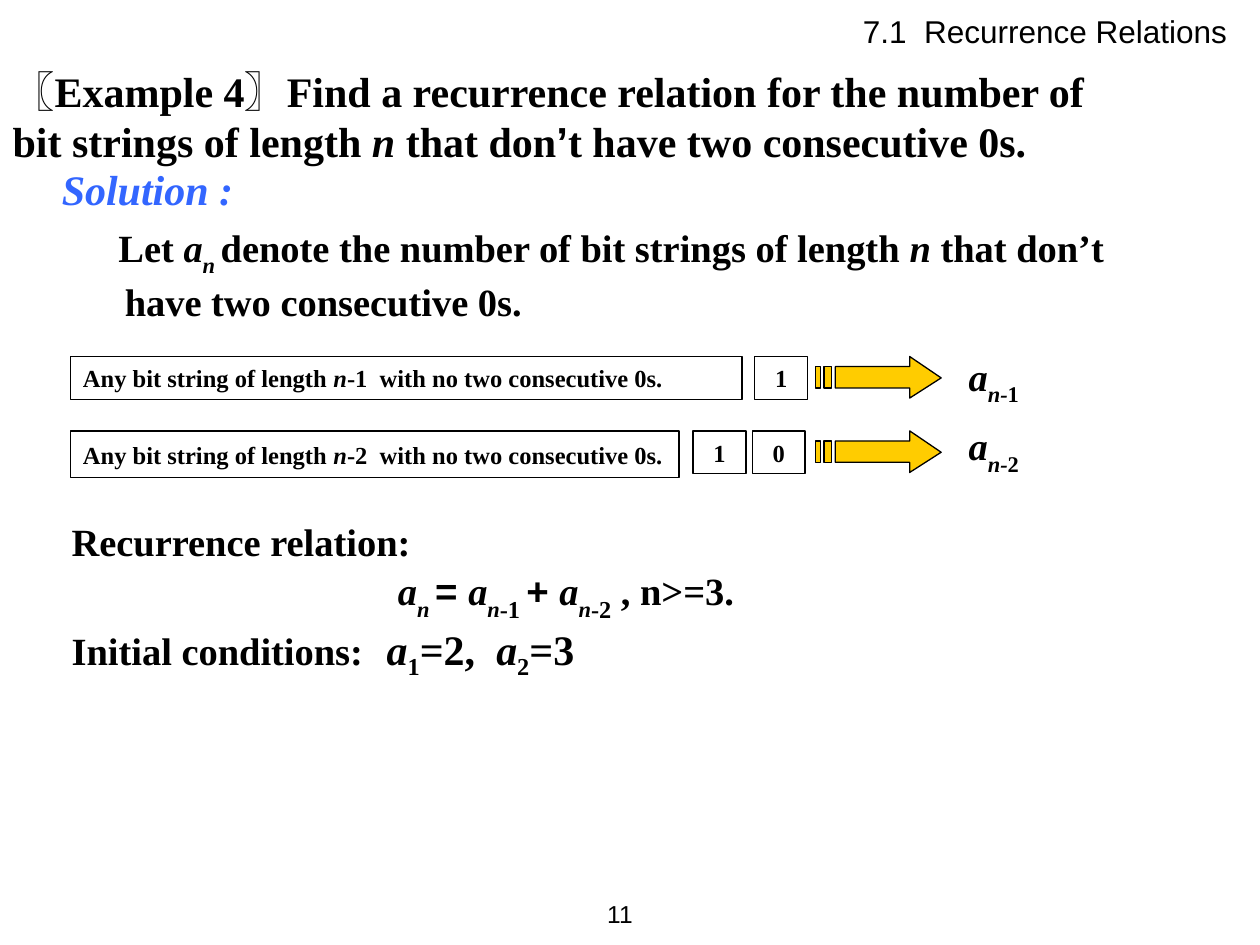
"""Build the bit-string recurrence relation slide."""
from dataclasses import dataclass, replace
from lxml import etree
from pptx import Presentation
from pptx.dml.color import RGBColor
from pptx.enum.shapes import MSO_SHAPE
from pptx.enum.text import MSO_ANCHOR, MSO_AUTO_SIZE, PP_ALIGN
from pptx.oxml.ns import qn
from pptx.util import Inches, Pt

RECTANGLE = MSO_SHAPE.RECTANGLE
LEFT, CENTER, RIGHT = PP_ALIGN.LEFT, PP_ALIGN.CENTER, PP_ALIGN.RIGHT
TOP, MIDDLE = MSO_ANCHOR.TOP, MSO_ANCHOR.MIDDLE
NO_FIT = MSO_AUTO_SIZE.NONE
COLORS = {"ink": "000000", "solution": "3366FF", "arrow": "FFCC00"}
SERIF, SANS = "Times New Roman", "Arial"


@dataclass(frozen=True)
class Span:
    text: str
    size: float = 22
    italic: bool = False
    base: int = 0
    font: str = SERIF
    bold: bool = True
    color: str = "ink"


@dataclass(frozen=True)
class Para:
    spans: list[Span]
    before: float = 0
    margin: float = 0
    indent: float = 0
    align: PP_ALIGN = LEFT
    tab: float = 0


@dataclass(frozen=True)
class Case:
    top: float
    width: float
    drop: str
    bits: list[tuple[str, float]]
    term_top: float


def variable(name: str, size: float = 22) -> Span:
    return Span(name, size, italic=True)


def subscript(text: str, size: float = 22, italic: bool = True, base: int = -30) -> Span:
    return Span(text, size, italic, base)


def place(box, left: float, top: float, width: float, height: float) -> None:
    box.left, box.top = Inches(left), Inches(top)
    box.width, box.height = Inches(width), Inches(height)


def write(box, paras: list[Para], anchor: MSO_ANCHOR = TOP, wrap: bool = True) -> None:
    frame = box.text_frame
    frame.auto_size = NO_FIT
    frame.word_wrap = wrap
    frame.vertical_anchor = anchor
    for index, item in enumerate(paras):
        para = frame.add_paragraph() if index else frame.paragraphs[0]
        para.alignment = item.align
        para.space_before = Pt(item.before)
        properties = para._p.get_or_add_pPr()
        properties.set("marL", str(Inches(item.margin)))
        properties.set("indent", str(Inches(item.indent)))
        etree.SubElement(properties, qn("a:buNone"))
        if item.tab:
            stops = etree.SubElement(properties, qn("a:tabLst"))
            etree.SubElement(stops, qn("a:tab"), pos=str(Inches(item.tab)), algn="l")
        for part in item.spans:
            span = para.add_run()
            span.text = part.text
            span.font.name = part.font
            span.font.size = Pt(part.size)
            span.font.bold = part.bold
            span.font.italic = part.italic
            span.font.color.rgb = RGBColor.from_string(COLORS[part.color])
            if part.base:
                span._r.get_or_add_rPr().set("baseline", str(part.base * 1000))


def add_text(page, area: tuple[float, float, float, float], paras: list[Para],
             anchor: MSO_ANCHOR = TOP, wrap: bool = True) -> None:
    box = page.shapes.add_textbox(*map(Inches, area))
    write(box, paras, anchor, wrap)


def outline(shape) -> None:
    shape.shadow.inherit = False
    shape.line.color.rgb = RGBColor.from_string(COLORS["ink"])
    shape.line.width = Pt(0.75)


def add_cell(group, left: float, top: float, width: float, height: float,
             spans: list[Span], align: PP_ALIGN) -> None:
    cell = group.shapes.add_shape(RECTANGLE, *map(Inches, (left, top, width, height)))
    outline(cell)
    cell.fill.background()
    write(cell, [Para(spans, align=align)], MIDDLE)


def add_striped_arrow(page, left: float, top: float) -> None:
    head = [(0.75, 0), (0.75, 0.08), (0.16, 0.08), (0.16, 0.25),
            (0.75, 0.25), (0.75, 0.33), (1, 0.17)]
    stripes = [[(a, 0.08), (a, 0.25), (b, 0.25), (b, 0.08)]
               for a, b in ((0.07, 0.13), (0, 0.04))]
    builder = None
    for contour in [head, *stripes]:
        points = [(Inches(left + x), Inches(top + y)) for x, y in contour]
        if builder is None:
            builder = page.shapes.build_freeform(*points[0])
        else:
            builder.move_to(*points[0])
        builder.add_line_segments(points[1:], close=True)
    arrow = builder.convert_to_shape()
    outline(arrow)
    arrow.fill.solid()
    arrow.fill.fore_color.rgb = RGBColor.from_string(COLORS["arrow"])


def add_case(page, case: Case) -> None:
    group = page.shapes.add_group_shape()
    label = [Span("Any bit string of length "), variable("n"),
             Span(f"-{case.drop}  with no two consecutive 0s.")]
    add_cell(group, 0.56, case.top, case.width, 0.34 if case.drop == "1" else 0.37,
             [replace(part, size=14) for part in label], LEFT)
    for bit, left in case.bits:
        add_cell(group, left, case.top, 0.42, 0.34, [Span(bit, 14)], CENTER)
    add_striped_arrow(page, 6.47, case.top)
    term = [variable("a"), subscript("n-"), subscript(case.drop, italic=False)]
    add_text(page, (7.06, case.term_top, 1.25, 0.53), [Para(term, margin=0.53)])


def main() -> None:
    deck = Presentation()
    deck.slide_width, deck.slide_height = Inches(10), Inches(7.5)
    page = deck.slides.add_slide(deck.slide_layouts[1])

    title, body = page.placeholders
    place(title, 0, 0.47, 9, 0.9)
    write(title, [Para([
        Span("〖", 24, font=SANS), Span("Example 4", 24), Span("〗", 24, font=SANS),
        Span("Find a recurrence relation for the number of bit strings of length ", 24),
        variable("n", 24), Span(" that don", 24), Span("’", 24, font=SANS),
        Span("t have two consecutive 0s.", 24)], before=6)])

    place(body, 0.39, 1.25, 9.08, 1.38)
    write(body, [
        Para([Span("Solution :", 24, italic=True, color="solution")], before=9),
        Para([Span("Let "), variable("a"), subscript("n "),
              Span("denote the number of bit strings of length "), variable("n"),
              Span(" that don’t have two consecutive 0s.")],
             before=5.5, margin=0.5, indent=-0.05)])

    for case in (Case(2.83, 5.33, "1", [("1", 5.99)], 2.75),
                 Case(3.42, 4.83, "2", [("1", 5.5), ("0", 5.97)], 3.3)):
        add_case(page, case)

    add_text(page, (0.47, 4.06, 9.08, 1.4), [
        Para([Span("Recurrence relation:")]),
        Para([variable("a"), subscript("n "), Span("= ", font=SANS),
              variable("a"), subscript("n"), subscript("-1 ", 24, False),
              Span("+ ", font=SANS), variable("a"), subscript("n"),
              subscript("-2", 24, False), Span(" , n>=3.")], margin=2.59),
        Para([Span("Initial conditions:\t"), variable("a", 24),
              subscript("1", 24, False, -25), Span("=2,  ", 24), variable("a", 24),
              subscript("2", 24, False, -25), Span("=3", 24)], tab=2.54)])
    add_text(page, (6.75, 0.05, 3.25, 0.4),
             [Para([Span("7.1  Recurrence Relations", 18, font=SANS, bold=False)])])
    add_text(page, (4.45, 7, 0.67, 0.5),
             [Para([Span("11", 14, font=SANS, bold=False)], align=RIGHT)], MIDDLE, False)
    deck.save("out.pptx")


if __name__ == "__main__":
    main()
